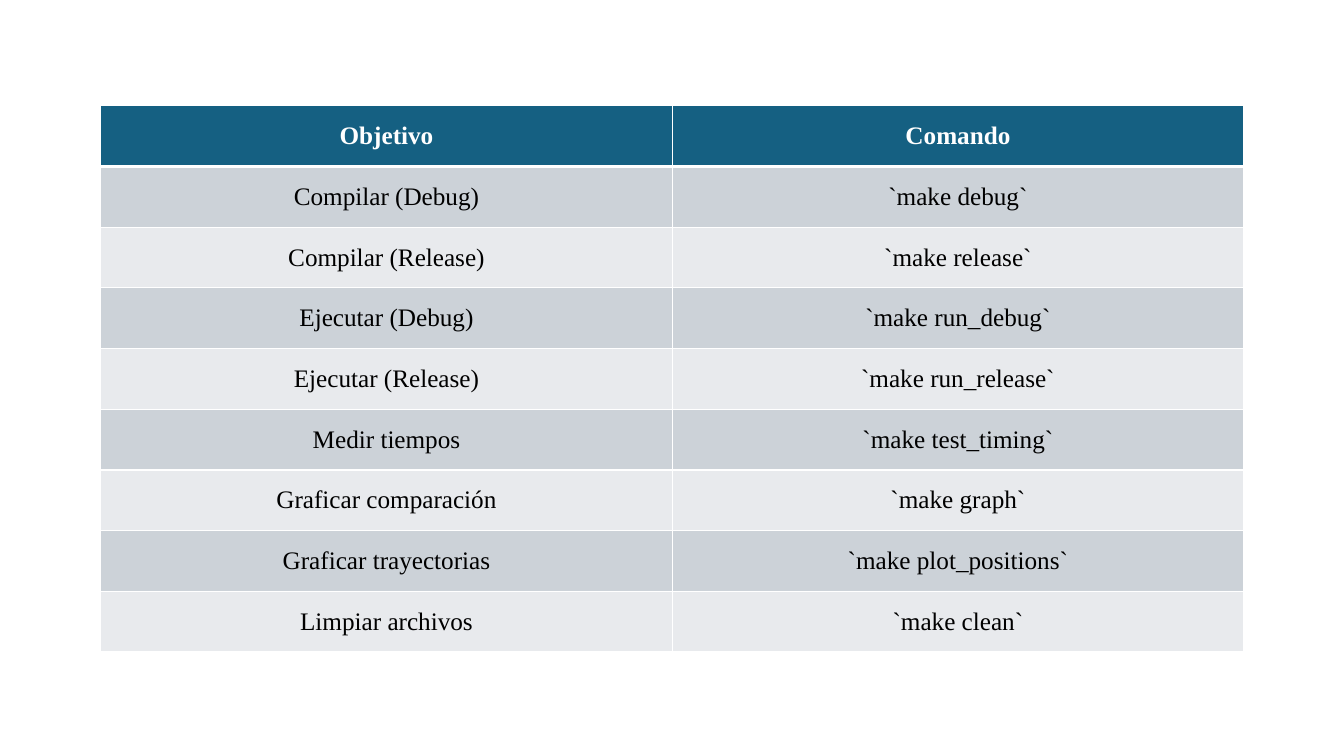
from lxml.etree import SubElement
from pptx import Presentation
from pptx.dml.color import RGBColor
from pptx.enum.text import MSO_ANCHOR, PP_ALIGN
from pptx.oxml.ns import qn
from pptx.util import Pt

COLORS = {
    "header": "156082",
    "odd_row": "CCD2D8",
    "even_row": "E8EAED",
    "border": "FFFFFF",
    "header_text": "FFFFFF",
    "body_text": "000000",
}
FONT = "Times New Roman"
COMMANDS = [
    ("Objetivo", "Comando"),
    ("Compilar (Debug)", "`make debug`"),
    ("Compilar (Release)", "`make release`"),
    ("Ejecutar (Debug)", "`make run_debug`"),
    ("Ejecutar (Release)", "`make run_release`"),
    ("Medir tiempos", "`make test_timing`"),
    ("Graficar comparación", "`make graph`"),
    ("Graficar trayectorias", "`make plot_positions`"),
    ("Limpiar archivos", "`make clean`"),
]
LEFT, TOP = Pt(72), Pt(75.6)
COLUMN_WIDTH, ROW_HEIGHT = Pt(408.2), Pt(43.36)


def set_borders(cell, top, bottom):
    properties = cell._tc.get_or_add_tcPr()
    widths = {"a:lnL": Pt(1), "a:lnR": Pt(1), "a:lnT": top, "a:lnB": bottom}
    for tag, width in widths.items():
        line = SubElement(properties, qn(tag), w=str(width))
        fill = SubElement(line, qn("a:solidFill"))
        SubElement(fill, qn("a:srgbClr"), val=COLORS["border"])


def format_cell(cell, text, fill, color, bold):
    cell.fill.solid()
    cell.fill.fore_color.rgb = RGBColor.from_string(COLORS[fill])
    cell.vertical_anchor = MSO_ANCHOR.MIDDLE
    cell.text_frame.text = text
    paragraph = cell.text_frame.paragraphs[0]
    paragraph.alignment = PP_ALIGN.CENTER
    font = paragraph.runs[0].font
    font.name = FONT
    font.size = Pt(18)
    font.bold = bold
    font.color.rgb = RGBColor.from_string(COLORS[color])


def add_command_table(slide):
    row_count, column_count = len(COMMANDS), len(COMMANDS[0])
    table = slide.shapes.add_table(
        row_count, column_count, LEFT, TOP,
        COLUMN_WIDTH * column_count, ROW_HEIGHT * row_count,
    ).table
    for column in table.columns:
        column.width = COLUMN_WIDTH
    for row_index, texts in enumerate(COMMANDS):
        table.rows[row_index].height = ROW_HEIGHT
        is_header = row_index == 0
        if is_header:
            fill, color = "header", "header_text"
        else:
            fill = "odd_row" if row_index % 2 else "even_row"
            color = "body_text"
        top = Pt(3) if row_index == 1 else Pt(1)
        bottom = Pt(3) if is_header else Pt(1)
        for column_index, text in enumerate(texts):
            cell = table.cell(row_index, column_index)
            set_borders(cell, top, bottom)
            format_cell(cell, text, fill, color, is_header)


def main():
    presentation = Presentation()
    presentation.slide_width = Pt(960)
    presentation.slide_height = Pt(540)
    slide = presentation.slides.add_slide(presentation.slide_layouts[6])
    add_command_table(slide)
    presentation.save("out.pptx")


if __name__ == "__main__":
    main()
